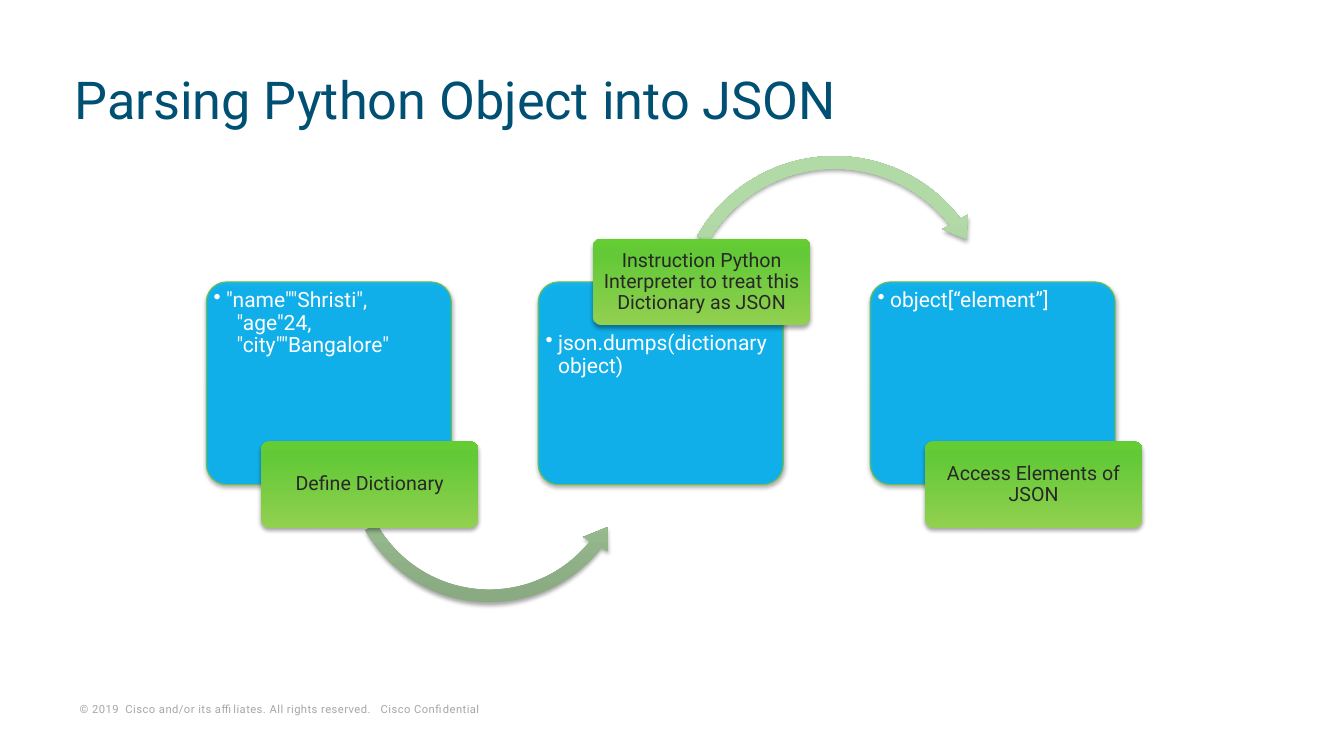
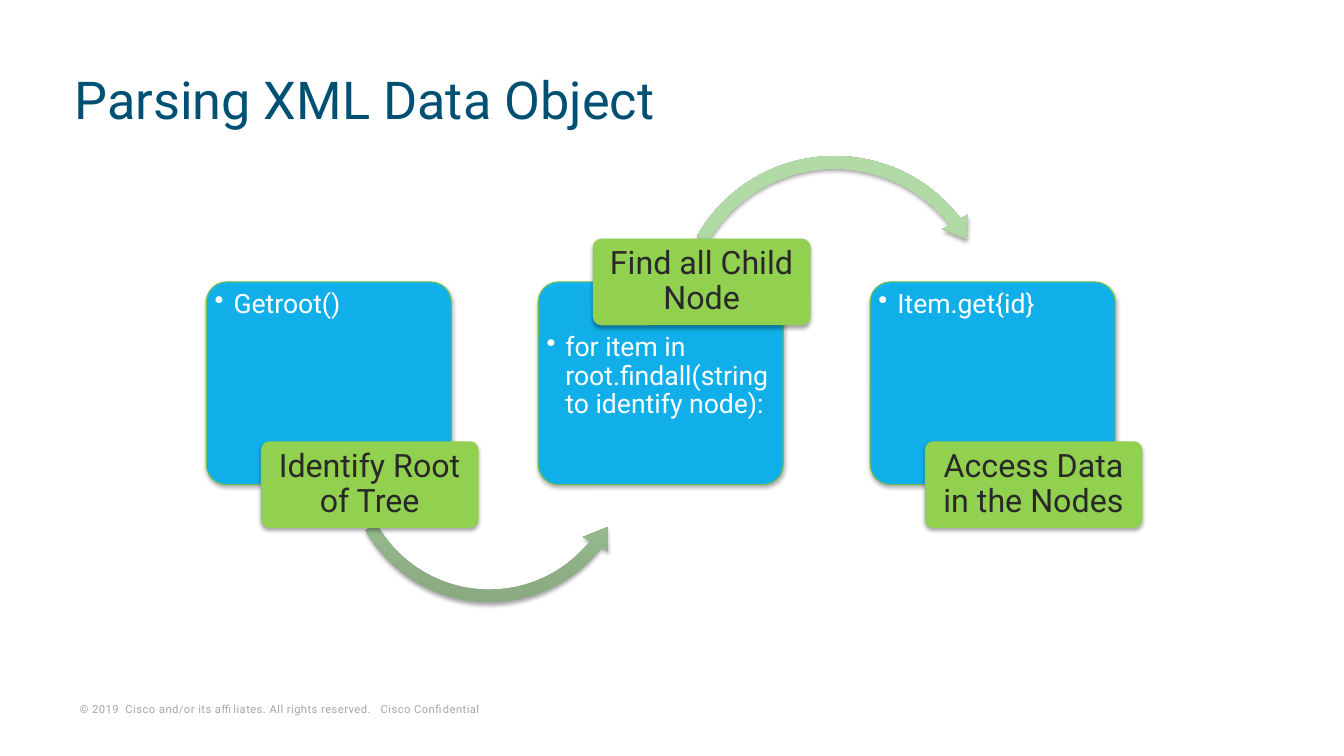
from lxml.etree import SubElement
from pptx import Presentation
from pptx.dml.color import RGBColor
from pptx.enum.shapes import MSO_SHAPE as Preset
from pptx.enum.text import MSO_ANCHOR as Anchor, MSO_AUTO_SIZE as AutoSize, PP_ALIGN as Align
from pptx.oxml.ns import qn
from pptx.util import Pt

COLORS = {
    "title": "005073", "footer": "A6A6A6", "panel": "00B0F0", "panel_edge": "6EBE4A",
    "panel_text": "FFFFFF", "label": "92D050", "label_text": "282828", "shadow": "000000",
}
FONT = "Roboto"
LABEL_GRADIENT = ((0, "92D050"), (80, "64C937"), (100, "64CD34"))
ARROW_GRADIENT = ((0, "88A880"), (80, "B1DAA6"), (100, "B1DCA6"))

TITLE_BOX = (46.1, 36, 876.2, 77)
FOOTER_BOX = (50.4, 497.5, 357, 16.6)
FOOTER = "© 2019  Cisco and/or its affiliates. All rights reserved.   Cisco Confidential"
FLOW_ORIGIN = (147.4, 201.4)
STEP_PITCH = 237.1
PANEL_SIZE = (175, 144.8)
LABEL_SIZE = (155.5, 61.9)
LABEL_SHIFT = 39

ARROWS = (
    (Preset.LEFT_CIRCULAR_ARROW, (94.4, 19.5, 215.3), (0.042, 5.246, 23.002, 90.245, 0.049)),
    (Preset.CIRCULAR_ARROW, (92.9, -95.8, 237.6), (0.038, 4.707, 193.538, 125.755, 0.044)),
)

SLIDES = (
    {
        "title": "Parsing Python Object into JSON",
        "steps": (
            ("Define Dictionary", '"name""Shristi",\v  "age"24,\v  "city""Bangalore"'),
            ("Instruction Python Interpreter to treat this Dictionary as JSON",
             "json.dumps(dictionary object)"),
            ("Access Elements of JSON", "object[“element”]"),
        ),
        "panel_text": 15, "label_text": 14, "indent": 9, "inset": 1,
        "label_inset": (2.2, 1.4), "label_stops": LABEL_GRADIENT,
    },
    {
        "title": "Parsing XML Data Object",
        "steps": (
            ("Identify Root of Tree", "Getroot()"),
            ("Find all Child Node", "for item in root.findall(string to identify node):"),
            ("Access Data in the Nodes", "Item.get{id}"),
        ),
        "panel_text": 19, "label_text": 23, "indent": 13.5, "inset": 1.7,
        "label_inset": (3.4, 2.2), "label_stops": None,
    },
)


def write(frame, text, size, color, align=Align.LEFT, anchor=Anchor.TOP,
          insets=(0, 0, 0, 0), leading=None, indent=0, tracking=0):
    """Fill a text frame with one formatted paragraph."""
    frame.word_wrap = True
    frame.auto_size = AutoSize.NONE
    frame.vertical_anchor = anchor
    frame.margin_left, frame.margin_top, frame.margin_right, frame.margin_bottom = map(Pt, insets)
    paragraph = frame.paragraphs[0]
    paragraph.text = text
    paragraph.alignment = align
    if leading:
        paragraph.line_spacing = leading
    if indent:
        properties = paragraph._p.get_or_add_pPr()
        properties.set("marL", str(Pt(indent)))
        properties.set("indent", str(-Pt(indent)))
        SubElement(properties, qn("a:buChar"), char="•")
    for run in paragraph.runs:
        run.font.name = FONT
        run.font.size = Pt(size)
        run.font.color.rgb = RGBColor.from_string(COLORS[color])
        if tracking:
            run.font._element.set("spc", str(round(tracking * 100)))


def paint(shape, color=None, stops=None, opacity=100, edge=None):
    """Apply the fill, outline and soft shadow of a flow part."""
    if stops:
        shape.fill.gradient()
        shape.fill.gradient_angle = 90
        stop_list = shape.element.spPr.find(".//" + qn("a:gsLst"))
        for old_stop in list(stop_list):
            stop_list.remove(old_stop)
        for position, shade in stops:
            stop = SubElement(stop_list, qn("a:gs"), pos=str(position * 1000))
            SubElement(stop, qn("a:srgbClr"), val=shade)
    else:
        shape.fill.solid()
        shape.fill.fore_color.rgb = RGBColor.from_string(COLORS[color])
        if opacity < 100:
            tint = shape.element.spPr.find(qn("a:solidFill")).find(qn("a:srgbClr"))
            SubElement(tint, qn("a:alpha"), val=str(opacity * 1000))
    if edge:
        shape.line.color.rgb = RGBColor.from_string(COLORS[edge])
        shape.line.width = Pt(0.75)
    else:
        shape.line.fill.background()
    shape.shadow.inherit = False
    shadow = SubElement(shape.element.spPr.find(qn("a:effectLst")), qn("a:outerShdw"),
                        blurRad=str(Pt(3.1)), dist=str(Pt(1.8)), dir="5400000", rotWithShape="0")
    shade = SubElement(shadow, qn("a:srgbClr"), val=COLORS["shadow"])
    SubElement(shade, qn("a:alpha"), val="35000")


def add_part(slide, preset, box, adjustments, **look):
    """Add a painted preset shape with its adjustments."""
    part = slide.shapes.add_shape(preset, *map(Pt, box))
    for index, value in enumerate(adjustments):
        part.adjustments[index] = value
    paint(part, **look)
    return part


def add_title(slide, text, box):
    """Place the title placeholder in its box."""
    title = slide.shapes.title
    title.left, title.top, title.width, title.height = map(Pt, box)
    write(title.text_frame, text, 37.3, "title", anchor=Anchor.MIDDLE,
          insets=(7.2, 3.6, 7.2, 3.6), leading=0.8)


def add_footer(slide, box):
    """Place the copyright line in its box."""
    footer = slide.shapes.add_textbox(*map(Pt, box))
    write(footer.text_frame, FOOTER, 8, "footer", anchor=Anchor.BOTTOM,
          insets=(6.5, 2.9, 6.5, 2.9), tracking=0.3)


def add_step(slide, origin, step, content, label_on_top, arrow):
    """Draw one step: panel, outgoing arrow and the label centred on a panel edge."""
    left, top = origin
    width, height = PANEL_SIZE
    label_width, label_height = LABEL_SIZE
    label, code = step
    inset = content["inset"]
    code_top = inset + label_height / 2 if label_on_top else inset

    panel = add_part(slide, Preset.ROUNDED_RECTANGLE, (left, top, width, height), (0.1,),
                     color="panel", opacity=90, edge="panel_edge")
    write(panel.text_frame, code, content["panel_text"], "panel_text",
          insets=(inset, code_top, inset, inset), leading=0.9, indent=content["indent"])

    if arrow:
        preset, (shift_x, shift_y, size), adjustments = arrow
        add_part(slide, preset, (left + shift_x, top + shift_y, size, size), adjustments,
                 stops=ARROW_GRADIENT)

    edge_y = top if label_on_top else top + height
    caption = add_part(slide, Preset.ROUNDED_RECTANGLE,
                       (left + LABEL_SHIFT, edge_y - label_height / 2, label_width, label_height),
                       (0.1,), color="label", stops=content["label_stops"])
    write(caption.text_frame, label, content["label_text"], "label_text", align=Align.CENTER,
          anchor=Anchor.MIDDLE, insets=content["label_inset"] * 2, leading=0.9)


def add_flow(slide, origin, content):
    """Draw the steps at an equal pitch with labels alternating bottom and top."""
    left, top = origin
    for index, step in enumerate(content["steps"]):
        arrow = ARROWS[index] if index < len(ARROWS) else None
        add_step(slide, (left + index * STEP_PITCH, top), step, content, index % 2 == 1, arrow)


def main():
    """Build and save the presentation."""
    deck = Presentation()
    deck.slide_width, deck.slide_height = Pt(960), Pt(540)
    for content in SLIDES:
        slide = deck.slides.add_slide(deck.slide_layouts[5])
        add_footer(slide, FOOTER_BOX)
        add_title(slide, content["title"], TITLE_BOX)
        add_flow(slide, FLOW_ORIGIN, content)
    deck.save("out.pptx")


if __name__ == "__main__":
    main()
